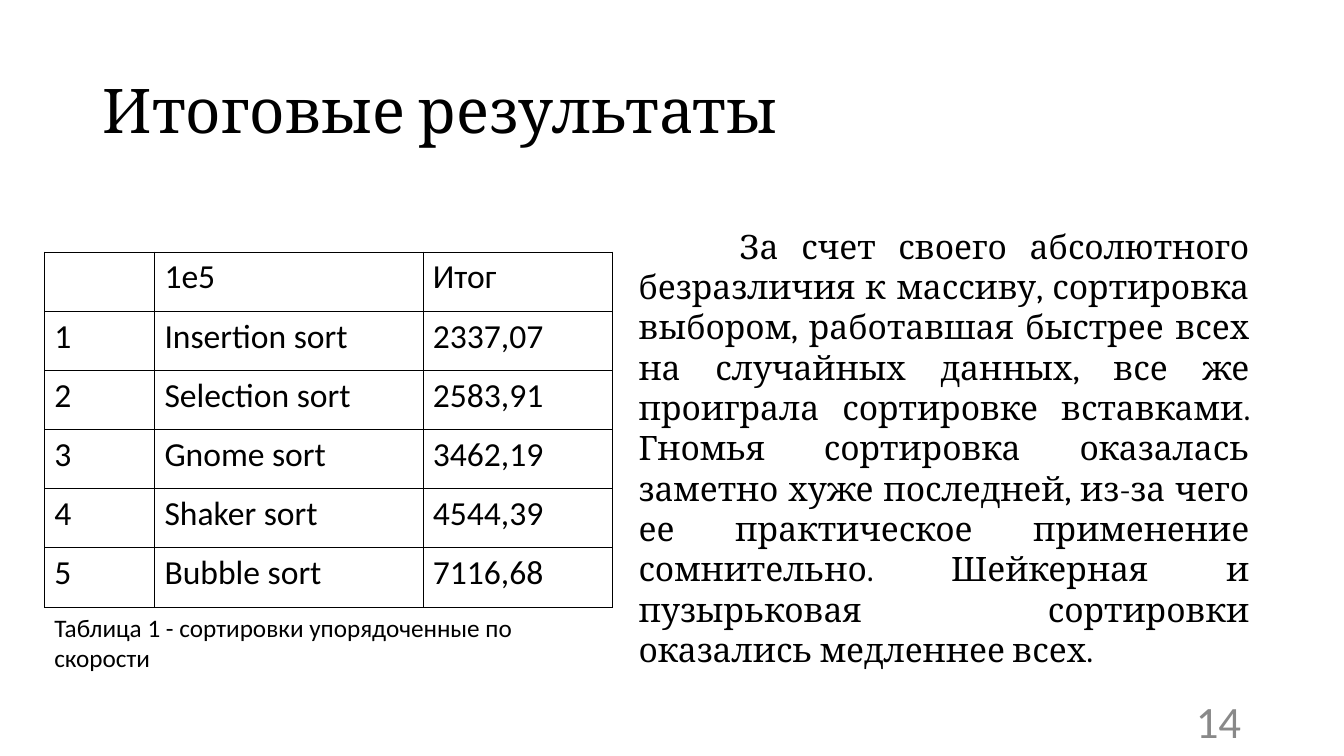
"""Build the slide that sums up the sorting results."""
from dataclasses import dataclass

from lxml import etree
from pptx import Presentation
from pptx.dml.color import RGBColor
from pptx.enum.text import MSO_ANCHOR, MSO_AUTO_SIZE, PP_ALIGN
from pptx.oxml.ns import qn
from pptx.util import Pt

LEFT, RIGHT, JUSTIFY = PP_ALIGN.LEFT, PP_ALIGN.RIGHT, PP_ALIGN.JUSTIFY
TOP, MIDDLE = MSO_ANCHOR.TOP, MSO_ANCHOR.MIDDLE
NO_AUTOFIT = MSO_AUTO_SIZE.NONE
BLACK = RGBColor(0x00, 0x00, 0x00)
GREY = RGBColor(0x89, 0x89, 0x89)
SERIF, SANS = "Cambria", "Calibri"
TITLE_ONLY = 5
BORDER_WIDTH = Pt(0.45)
TABLE_LEFT, TABLE_TOP, ROW_HEIGHT = 31.7, 180, 42.25
COLUMN_WIDTHS = (78.7, 191.8, 135.5)
RESULTS = (
    ("", "1e5", "Итог"),
    ("1", "Insertion sort", "2337,07"),
    ("2", "Selection sort", "2583,91"),
    ("3", "Gnome sort", "3462,19"),
    ("4", "Shaker sort", "4544,39"),
    ("5", "Bubble sort", "7116,68"),
)


@dataclass(frozen=True)
class TextBlock:
    """Text with its place in points and its format."""
    text: str
    left: float
    top: float
    width: float
    height: float
    size: float
    font: str = SANS
    color: RGBColor = BLACK
    align: PP_ALIGN = LEFT
    anchor: MSO_ANCHOR = TOP
    indent: float = 0
    spacing: float = 1.0


TITLE = TextBlock("Итоговые результаты", 66.2, 28.8, 828, 104.4, 44, SERIF,
                  anchor=MIDDLE, spacing=0.9)
BLOCKS = (
    TextBlock(
        "За счет своего абсолютного безразличия к массиву, сортировка выбором, "
        "работавшая быстрее всех на случайных данных, все же проиграла "
        "сортировке вставками. Гномья сортировка оказалась заметно хуже "
        "последней, из-за чего ее практическое применение сомнительно. "
        "Шейкерная и пузырьковая сортировки оказались медленнее всех.",
        449.3, 157.7, 450.7, 324, 24, SERIF, align=JUSTIFY, indent=72),
    TextBlock("Таблица 1 - сортировки упорядоченные по скорости",
              TABLE_LEFT, 433.5, sum(COLUMN_WIDTHS), 50.4, 18),
    TextBlock("14", 678.2, 500.4, 216, 28.8, 32, color=GREY,
              align=RIGHT, anchor=MIDDLE),
)


def set_font(p, name: str, size: float, color: RGBColor) -> None:
    """Set the font of a whole paragraph."""
    p.font.name = name
    p.font.size = Pt(size)
    p.font.color.rgb = color


def write_block(sp, block: TextBlock) -> None:
    """Place a shape and fill it with the text of a block."""
    sp.left, sp.top = Pt(block.left), Pt(block.top)
    sp.width, sp.height = Pt(block.width), Pt(block.height)
    tf = sp.text_frame
    tf.text = block.text
    tf.word_wrap = True
    tf.auto_size = NO_AUTOFIT
    tf.vertical_anchor = block.anchor
    p = tf.paragraphs[0]
    p.alignment = block.align
    p.line_spacing = block.spacing
    set_font(p, block.font, block.size, block.color)
    if block.indent:
        p._p.get_or_add_pPr().set("indent", str(Pt(block.indent)))


def set_borders(cell) -> None:
    """Draw thin black lines on all sides of a cell."""
    tc_pr = cell._tc.get_or_add_tcPr()
    for i, side in enumerate(("a:lnL", "a:lnR", "a:lnT", "a:lnB")):
        ln = etree.Element(qn(side), w=str(BORDER_WIDTH))
        fill = etree.SubElement(ln, qn("a:solidFill"))
        etree.SubElement(fill, qn("a:srgbClr"), val=str(BLACK))
        tc_pr.insert(i, ln)


def add_results(s) -> None:
    """Add the table of sorting times."""
    table = s.shapes.add_table(
        len(RESULTS), len(COLUMN_WIDTHS), Pt(TABLE_LEFT), Pt(TABLE_TOP),
        Pt(sum(COLUMN_WIDTHS)), Pt(ROW_HEIGHT * len(RESULTS))).table
    table.first_row = table.horz_banding = False
    for column, width in zip(table.columns, COLUMN_WIDTHS):
        column.width = Pt(width)
    for row, values in zip(table.rows, RESULTS):
        row.height = Pt(ROW_HEIGHT)
        for cell, value in zip(row.cells, values):
            cell.text = value
            cell.fill.background()
            set_font(cell.text_frame.paragraphs[0], SANS, 24, BLACK)
            set_borders(cell)


def main() -> None:
    """Build and save the slide."""
    prs = Presentation()
    prs.slide_width, prs.slide_height = Pt(960.5), Pt(540)
    s = prs.slides.add_slide(prs.slide_layouts[TITLE_ONLY])
    write_block(s.shapes.title, TITLE)
    add_results(s)
    for block in BLOCKS:
        write_block(s.shapes.add_textbox(0, 0, 0, 0), block)
    prs.save("out.pptx")


if __name__ == "__main__":
    main()
